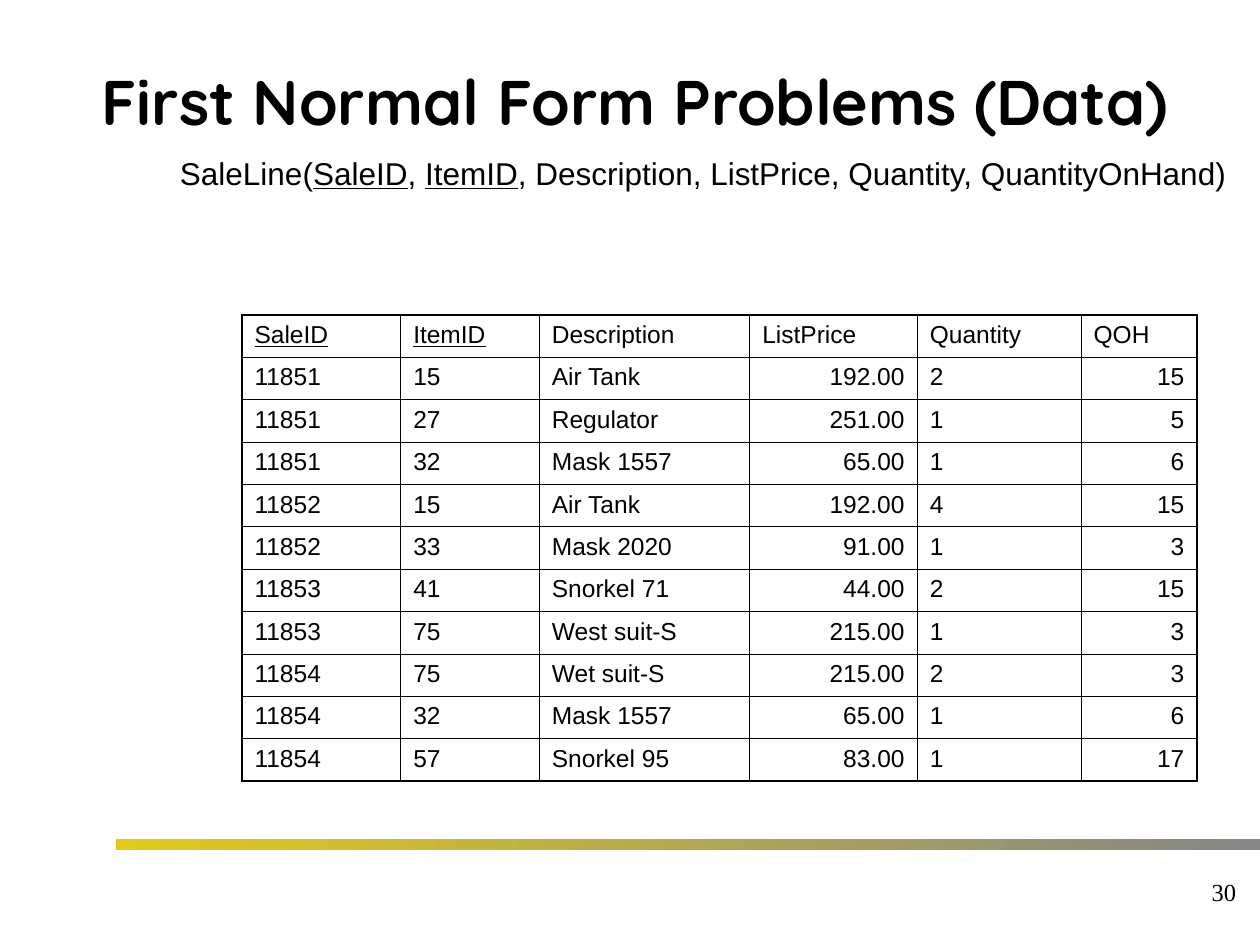
from dataclasses import dataclass

from lxml.etree import SubElement
from pptx import Presentation
from pptx.dml.color import RGBColor
from pptx.enum.shapes import MSO_SHAPE
from pptx.enum.text import MSO_ANCHOR, PP_ALIGN
from pptx.oxml.ns import qn
from pptx.util import Inches, Pt


@dataclass(frozen=True)
class Theme:
    ink: str = "000000"
    bar_start: str = "E0CB1B"
    bar_end: str = "868686"
    title_font: str = "Quicksand"
    body_font: str = "Arial"
    number_font: str = "Times New Roman"
    title_size: int = 36
    schema_size: int = 18
    small_size: int = 14
    outer_border: float = 1.08
    inner_border: float = 0.45


class SlideBuilder:
    def __init__(self, slide, theme):
        self.slide = slide
        self.theme = theme

    def add_run(self, paragraph, text, font, size, bold=False, underline=False):
        run = paragraph.add_run()
        run.text = text
        run.font.name = font
        run.font.size = Pt(size)
        run.font.bold = bold
        run.font.underline = underline
        run.font.color.rgb = RGBColor.from_string(self.theme.ink)

    def text(self, box, runs, font, size, bold=False, align=PP_ALIGN.LEFT,
             anchor=MSO_ANCHOR.TOP, wrap=True):
        """Add a text box; runs are (text, underlined) pairs."""
        frame = self.slide.shapes.add_textbox(*map(Inches, box)).text_frame
        frame.word_wrap = wrap
        frame.vertical_anchor = anchor
        paragraph = frame.paragraphs[0]
        paragraph.alignment = align
        for text, underline in runs:
            self.add_run(paragraph, text, font, size, bold, underline)

    def gradient_bar(self, box):
        bar = self.slide.shapes.add_shape(MSO_SHAPE.RECTANGLE, *map(Inches, box))
        bar.shadow.inherit = False
        bar.line.fill.background()
        bar.fill.gradient()
        bar.fill.gradient_angle = 0
        colors = (self.theme.bar_start, self.theme.bar_end)
        for stop, color in zip(bar.fill.gradient_stops, colors):
            stop.color.rgb = RGBColor.from_string(color)

    def cell_borders(self, cell, outer_sides):
        properties = cell._tc.get_or_add_tcPr()
        for position, side in enumerate("LRTB"):
            width = (self.theme.outer_border if side in outer_sides
                     else self.theme.inner_border)
            line = SubElement(properties, qn(f"a:ln{side}"), w=str(Pt(width)))
            fill = SubElement(line, qn("a:solidFill"))
            SubElement(fill, qn("a:srgbClr"), val=self.theme.ink)
            properties.insert(position, line)

    def table(self, box, widths, rows, key_columns, right_columns):
        last_row, last_column = len(rows) - 1, len(widths) - 1
        table = self.slide.shapes.add_table(
            len(rows), len(widths), *map(Inches, box)).table
        table.first_row = table.horz_banding = False
        for column, width in zip(table.columns, widths):
            column.width = Inches(width)
        for r, row in enumerate(rows):
            for c, value in enumerate(row):
                cell = table.cell(r, c)
                cell.fill.background()
                edges = {"L": c == 0, "R": c == last_column,
                         "T": r == 0, "B": r == last_row}
                self.cell_borders(cell, [s for s, outer in edges.items() if outer])
                paragraph = cell.text_frame.paragraphs[0]
                if r > 0 and c in right_columns:
                    paragraph.alignment = PP_ALIGN.RIGHT
                self.add_run(paragraph, value, self.theme.body_font,
                             self.theme.small_size,
                             underline=r == 0 and c in key_columns)


SALE_LINES = [
    ("SaleID", "ItemID", "Description", "ListPrice", "Quantity", "QOH"),
    ("11851", "15", "Air Tank", "192.00", "2", "15"),
    ("11851", "27", "Regulator", "251.00", "1", "5"),
    ("11851", "32", "Mask 1557", "65.00", "1", "6"),
    ("11852", "15", "Air Tank", "192.00", "4", "15"),
    ("11852", "33", "Mask 2020", "91.00", "1", "3"),
    ("11853", "41", "Snorkel 71", "44.00", "2", "15"),
    ("11853", "75", "West suit-S", "215.00", "1", "3"),
    ("11854", "75", "Wet suit-S", "215.00", "2", "3"),
    ("11854", "32", "Mask 1557", "65.00", "1", "6"),
    ("11854", "57", "Snorkel 95", "83.00", "1", "17"),
]


def main():
    presentation = Presentation()
    presentation.slide_width = Inches(10)
    presentation.slide_height = Inches(7.5)
    theme = Theme()
    builder = SlideBuilder(
        presentation.slides.add_slide(presentation.slide_layouts[6]), theme)

    # Footer bar and slide number
    builder.gradient_bar((0.92, 6.66, 9.08, 0.09))
    builder.text((7.83, 6.83, 2.08, 0.5), [("30", False)], theme.number_font,
                 theme.small_size, align=PP_ALIGN.RIGHT, anchor=MSO_ANCHOR.MIDDLE)

    # Title
    builder.text((0.25, 0.17, 9.58, 1.25),
                 [("First Normal Form Problems (Data)", False)],
                 theme.title_font, theme.title_size, bold=True,
                 align=PP_ALIGN.CENTER, anchor=MSO_ANCHOR.MIDDLE)

    # Relation schema with its keys underlined
    schema = [("SaleLine(", False), ("SaleID", True), (", ", False),
              ("ItemID", True),
              (", Description, ListPrice, Quantity, QuantityOnHand)", False)]
    builder.text((1.33, 1.17, 8.52, 0.4), schema, theme.body_font,
                 theme.schema_size, wrap=False)

    # Sample data
    builder.table((1.92, 2.5, 7.58, 3.7), (1.26, 1.1, 1.67, 1.33, 1.3, 0.92),
                  SALE_LINES, key_columns=(0, 1), right_columns=(3, 5))

    presentation.save("out.pptx")


if __name__ == "__main__":
    main()
